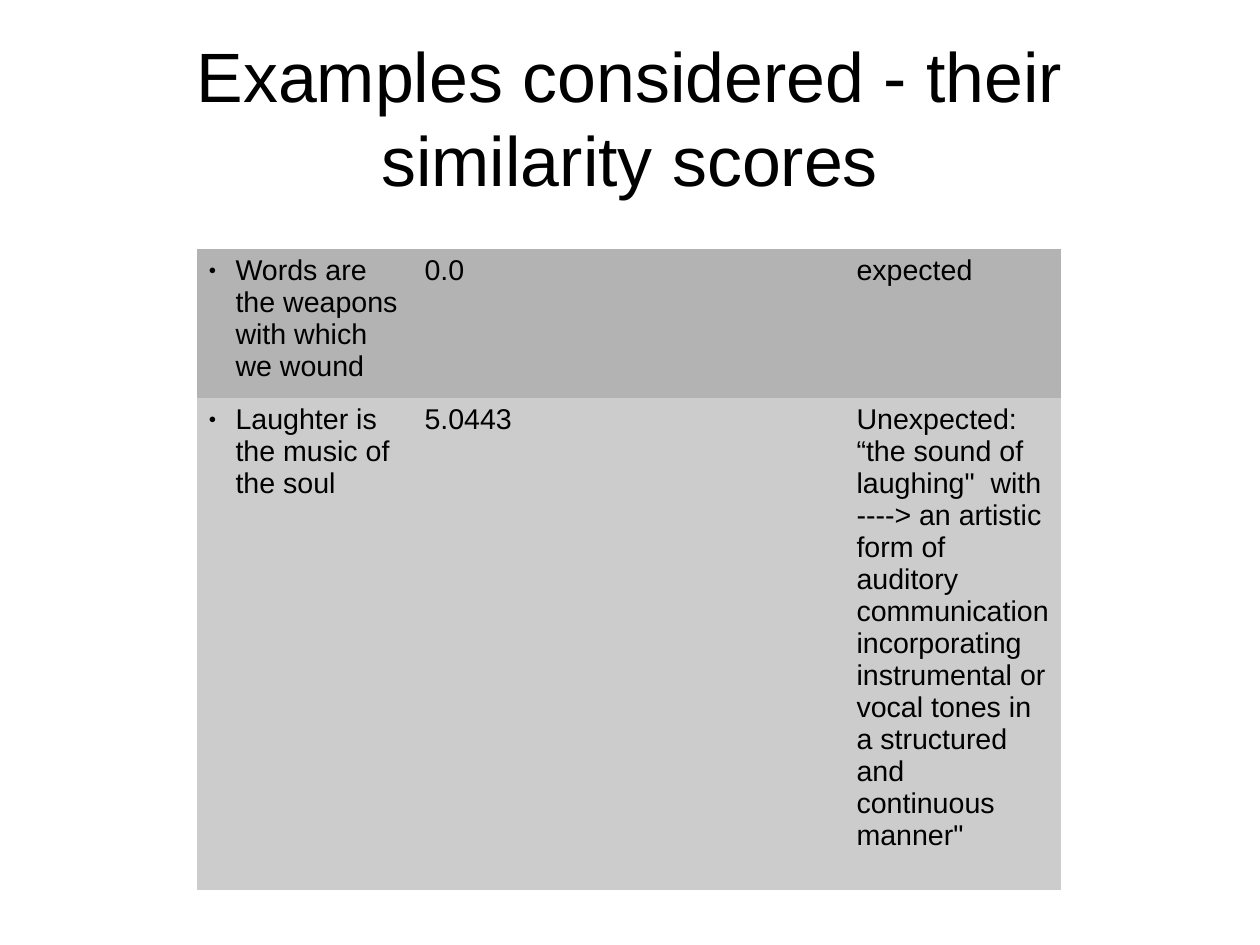
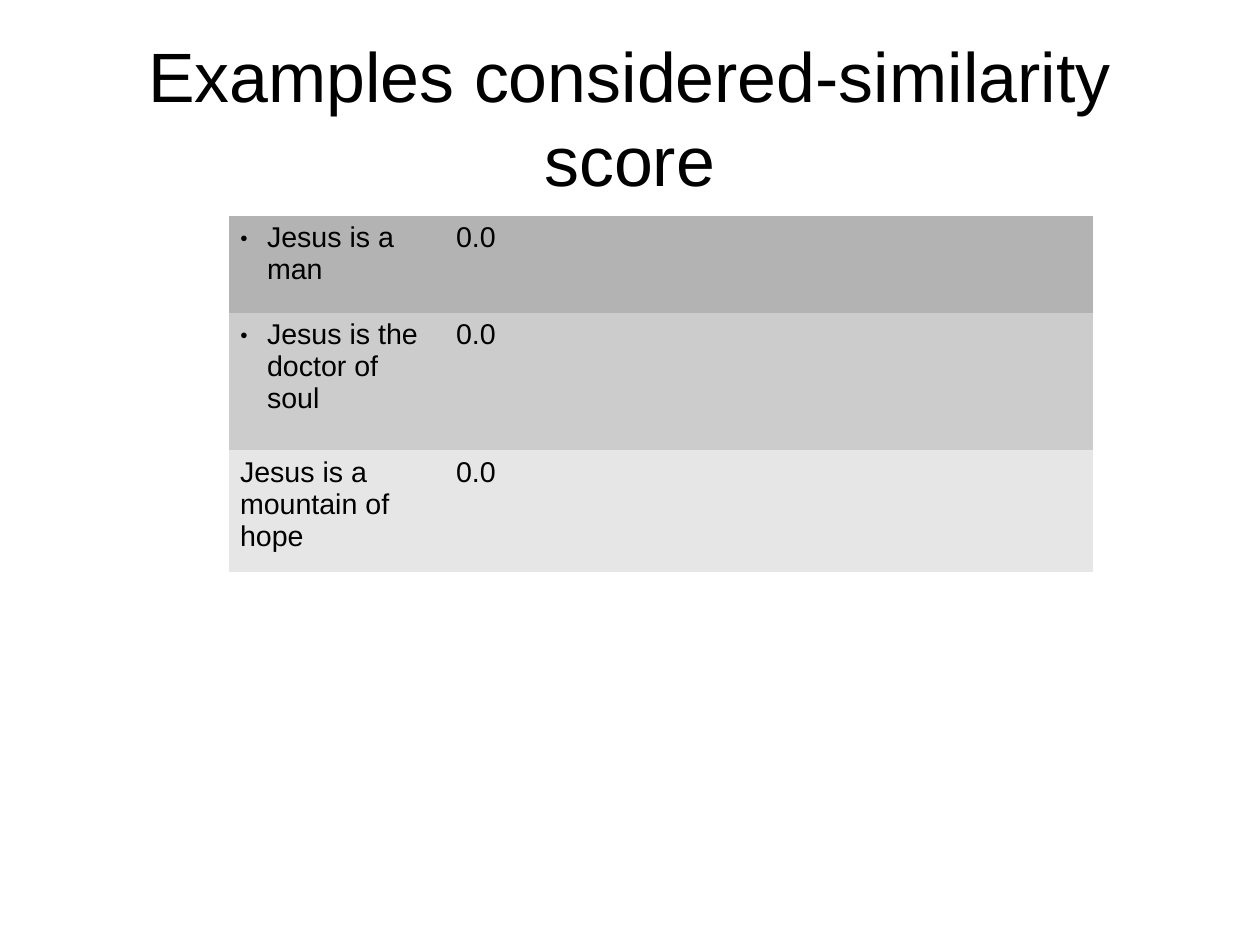
"""Build two slides of example sentences with their similarity scores."""
from lxml.etree import SubElement
from pptx import Presentation
from pptx.dml.color import RGBColor
from pptx.enum.text import MSO_ANCHOR, PP_ALIGN
from pptx.oxml.ns import qn
from pptx.util import Cm, Pt

COLOURS = {"text": "000000", "row 1": "B3B3B3", "row 2": "CCCCCC", "row 3": "E6E6E6"}
FONT = "Arial"
NO_GRID_STYLE = "{2D5ABB26-0587-4C30-8999-92F81FD0307C}"
COLUMN_WIDTH = Cm(4.8)
COLUMN_COUNT = 4
BULLET_INDENT = Cm(0.6)
TITLE_PLACE = (Cm(1.4), Cm(0.84), Cm(25.2), Cm(3.5))
TITLE_FRAME = {
    "word_wrap": True, "vertical_anchor": MSO_ANCHOR.MIDDLE,
    "margin_left": 0, "margin_right": 0, "margin_top": 0, "margin_bottom": 0,
}
TITLE_PARAGRAPH = {"alignment": PP_ALIGN.CENTER, "line_spacing": Pt(52.8)}

UNEXPECTED = (
    "Unexpected:\n“the sound of laughing\"  with\n"
    "----> an artistic form of auditory communication incorporating "
    "instrumental or vocal tones in a structured and continuous manner\""
)
SLIDES = [
    {
        "title": "Examples considered - their similarity scores",
        "corner": (Cm(4.38), Cm(5.53)),
        "row_heights": [Cm(3.31), Cm(10.93)],
        "rows": [
            ("Words are the weapons with which we wound", "0.0", "", "expected"),
            ("Laughter is the music of the soul", "5.0443", "", UNEXPECTED),
        ],
        "bulleted_rows": 2,
    },
    {
        "title": "Examples considered-similarity score\t",
        "corner": (Cm(5.08), Cm(4.8)),
        "row_heights": [Cm(2.16), Cm(3.05), Cm(2.69)],
        "rows": [
            ("Jesus is a man", "0.0", "", ""),
            ("Jesus is the doctor of soul", "0.0", "", ""),
            ("Jesus is a mountain of hope", "0.0", "", ""),
        ],
        "bulleted_rows": 2,
    },
]


def apply(target, values):
    for name, value in values.items():
        setattr(target, name, value)


def style_text(paragraph, size):
    apply(paragraph.font, {"name": FONT, "size": Pt(size), "bold": False})
    paragraph.font.color.rgb = RGBColor.from_string(COLOURS["text"])
    for run in paragraph.runs:
        apply(run.font, {"name": FONT, "size": Pt(size), "bold": False})
        run.font.color.rgb = RGBColor.from_string(COLOURS["text"])


def add_bullet(paragraph):
    properties = paragraph._p.get_or_add_pPr()
    properties.set("marL", str(BULLET_INDENT))
    properties.set("indent", str(-BULLET_INDENT))
    bullet_colour = SubElement(properties, qn("a:buClr"))
    SubElement(bullet_colour, qn("a:srgbClr"), val=COLOURS["text"])
    SubElement(properties, qn("a:buSzPct"), val="45000")
    SubElement(properties, qn("a:buFont"), typeface=FONT)
    SubElement(properties, qn("a:buChar"), char="●")
    for default_font in properties.findall(qn("a:defRPr")):
        properties.append(default_font)


def add_title(slide, text):
    frame = slide.shapes.add_textbox(*TITLE_PLACE).text_frame
    apply(frame, TITLE_FRAME)
    title = frame.paragraphs[0]
    title.add_run().text = text
    apply(title, TITLE_PARAGRAPH)
    style_text(title, 44)


def add_scores(slide, content):
    heights = content["row_heights"]
    holder = slide.shapes.add_table(
        len(heights), COLUMN_COUNT, *content["corner"],
        COLUMN_WIDTH * COLUMN_COUNT, sum(heights))
    for style_id in holder.element.iter(qn("a:tableStyleId")):
        style_id.text = NO_GRID_STYLE
    scores = holder.table
    apply(scores, {"first_row": False, "horz_banding": False})
    for column in scores.columns:
        column.width = COLUMN_WIDTH
    for row_index, (texts, height) in enumerate(zip(content["rows"], heights)):
        scores.rows[row_index].height = height
        for column_index, text in enumerate(texts):
            cell = scores.cell(row_index, column_index)
            cell.fill.solid()
            cell.fill.fore_color.rgb = RGBColor.from_string(COLOURS[f"row {row_index + 1}"])
            cell.text = text
            for paragraph in cell.text_frame.paragraphs:
                style_text(paragraph, 18)
        if row_index < content["bulleted_rows"]:
            add_bullet(scores.cell(row_index, 0).text_frame.paragraphs[0])


def main():
    deck = Presentation()
    apply(deck, {"slide_width": Cm(28), "slide_height": Cm(21)})
    for content in SLIDES:
        slide = deck.slides.add_slide(deck.slide_layouts[6])
        add_title(slide, content["title"])
        add_scores(slide, content)
    deck.save("out.pptx")


if __name__ == "__main__":
    main()
